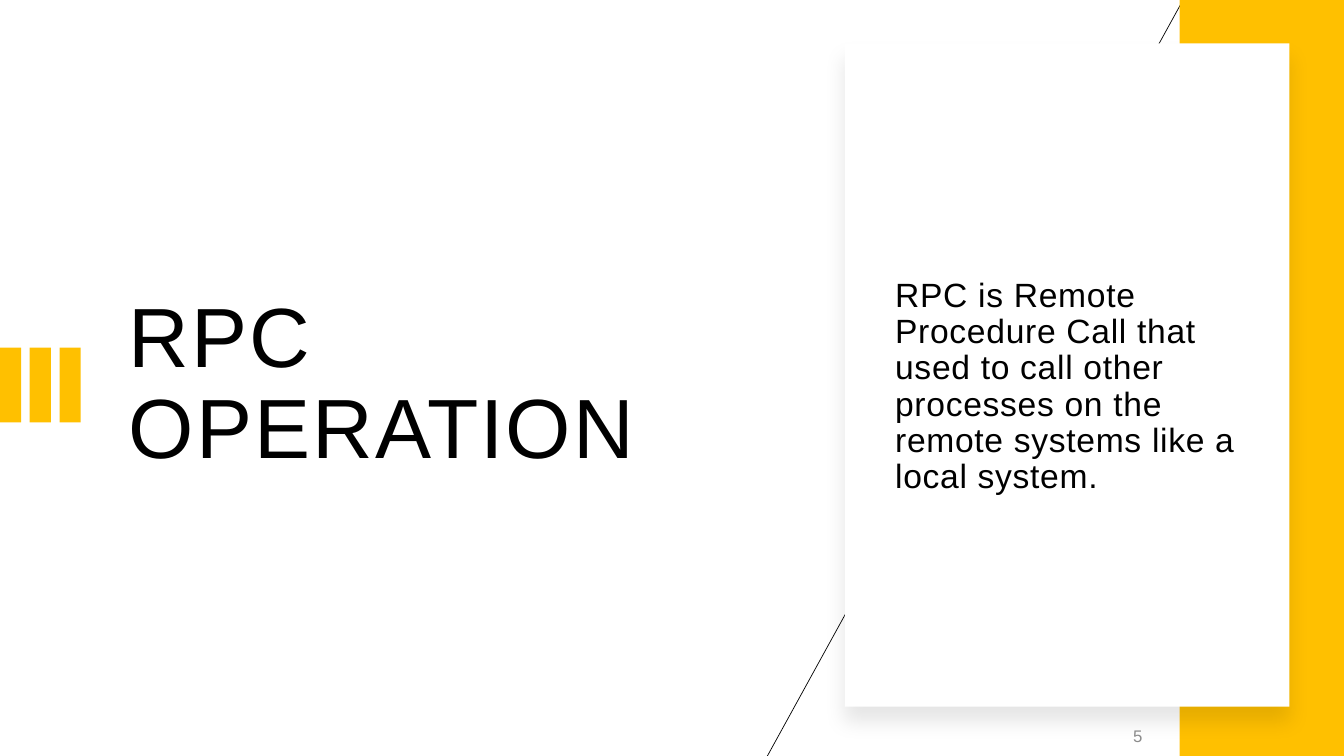
from dataclasses import dataclass

from lxml import etree
from pptx import Presentation
from pptx.dml.color import RGBColor
from pptx.enum.shapes import MSO_CONNECTOR, MSO_SHAPE
from pptx.enum.text import MSO_ANCHOR, PP_ALIGN
from pptx.oxml.ns import qn
from pptx.util import Inches, Pt

RECT = MSO_SHAPE.RECTANGLE
STRAIGHT = MSO_CONNECTOR.STRAIGHT
MIDDLE = MSO_ANCHOR.MIDDLE
LEFT, RIGHT = PP_ALIGN.LEFT, PP_ALIGN.RIGHT
GOLD, WHITE, BLACK, GRAY = "FFC000", "FFFFFF", "000000", "8C8C8C"


@dataclass
class Box:
    left: float
    top: float
    width: float
    height: float
    fill: str

    def place(self) -> list:
        return [Inches(v) for v in (self.left, self.top, self.width, self.height)]


@dataclass
class Label(Box):
    """A text box; fill is the text colour."""
    text: str
    size: int
    form: dict
    track: int = 0


def color(code: str) -> RGBColor:
    return RGBColor.from_string(code)


def apply(target, form: dict) -> None:
    for name, value in form.items():
        setattr(target, name, value)


def draw_box(slide, box: Box):
    shape = slide.shapes.add_shape(RECT, *box.place())
    shape.shadow.inherit = False
    shape.fill.solid()
    shape.fill.fore_color.rgb = color(box.fill)
    shape.line.fill.background()
    return shape


def draw_label(slide, label: Label) -> None:
    frame = slide.shapes.add_textbox(*label.place()).text_frame
    apply(frame, {"word_wrap": True, "vertical_anchor": MIDDLE})
    para = frame.paragraphs[0]
    apply(para, label.form)
    run = para.add_run()
    run.text = label.text
    apply(run.font, {"name": "Arial", "size": Pt(label.size)})
    run.font.color.rgb = color(label.fill)
    if label.track:
        run.font._element.set("spc", str(label.track))


def draw_line(slide, start: tuple, end: tuple) -> None:
    line = slide.shapes.add_connector(
        STRAIGHT, *[Inches(v) for v in start + end])
    line.line.color.rgb = color(BLACK)
    line.line.width = Pt(0.5)
    etree.SubElement(line._element.spPr, qn("a:effectLst"))


def add_shadow(shape) -> None:
    effects = shape._element.spPr.find(qn("a:effectLst"))
    outer = etree.SubElement(
        effects, qn("a:outerShdw"), blurRad=str(Pt(15)), dist=str(Pt(11)),
        dir="5400000", algn="t", rotWithShape="0")
    tint = etree.SubElement(outer, qn("a:srgbClr"), val=BLACK)
    etree.SubElement(tint, qn("a:alpha"), val="10000")


BARS = [Box(0.295 * i, 3.45, 0.21, 0.74, GOLD) for i in range(3)]
BAND = Box(11.7, 0, 1.63, 7.5, GOLD)
CARD = Box(8.38, 0.43, 4.41, 6.58, WHITE)
LABELS = [
    Label(1.18, 1.25, 6.6, 5.15, BLACK, "RPC OPERATION", 60,
          {"line_spacing": 0.9, "alignment": LEFT}, 150),
    Label(8.78, 1.85, 3.61, 3.98, BLACK,
          "RPC is Remote Procedure Call that used to call other processes "
          "on the remote systems like a local system.", 24,
          {"line_spacing": 0.9, "space_before": Pt(10), "alignment": LEFT}, 50),
    Label(9.42, 7.1, 2.01, 0.4, GRAY, "5", 12,
          {"space_after": Pt(6), "alignment": RIGHT}),
]


def main() -> None:
    deck = Presentation()
    apply(deck, {"slide_width": Inches(13.33), "slide_height": Inches(7.5)})
    slide = deck.slides.add_slide(deck.slide_layouts[6])

    # Diagonal behind everything
    draw_line(slide, (11.75, -0.03), (7.6, 7.52))

    # Gold bars and side band
    for box in BARS + [BAND]:
        draw_box(slide, box)

    # Raised card
    add_shadow(draw_box(slide, CARD))

    # Title, body and page number
    for label in LABELS:
        draw_label(slide, label)

    deck.save("out.pptx")


if __name__ == "__main__":
    main()
